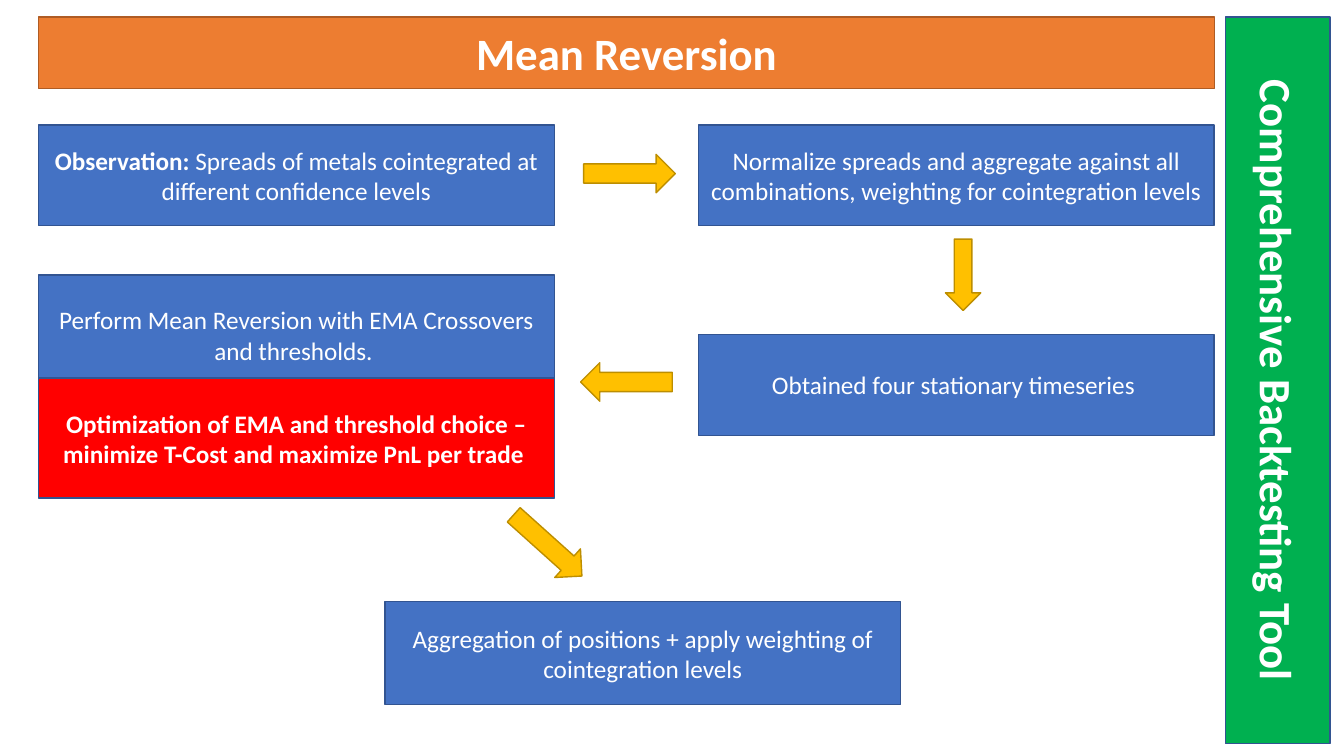
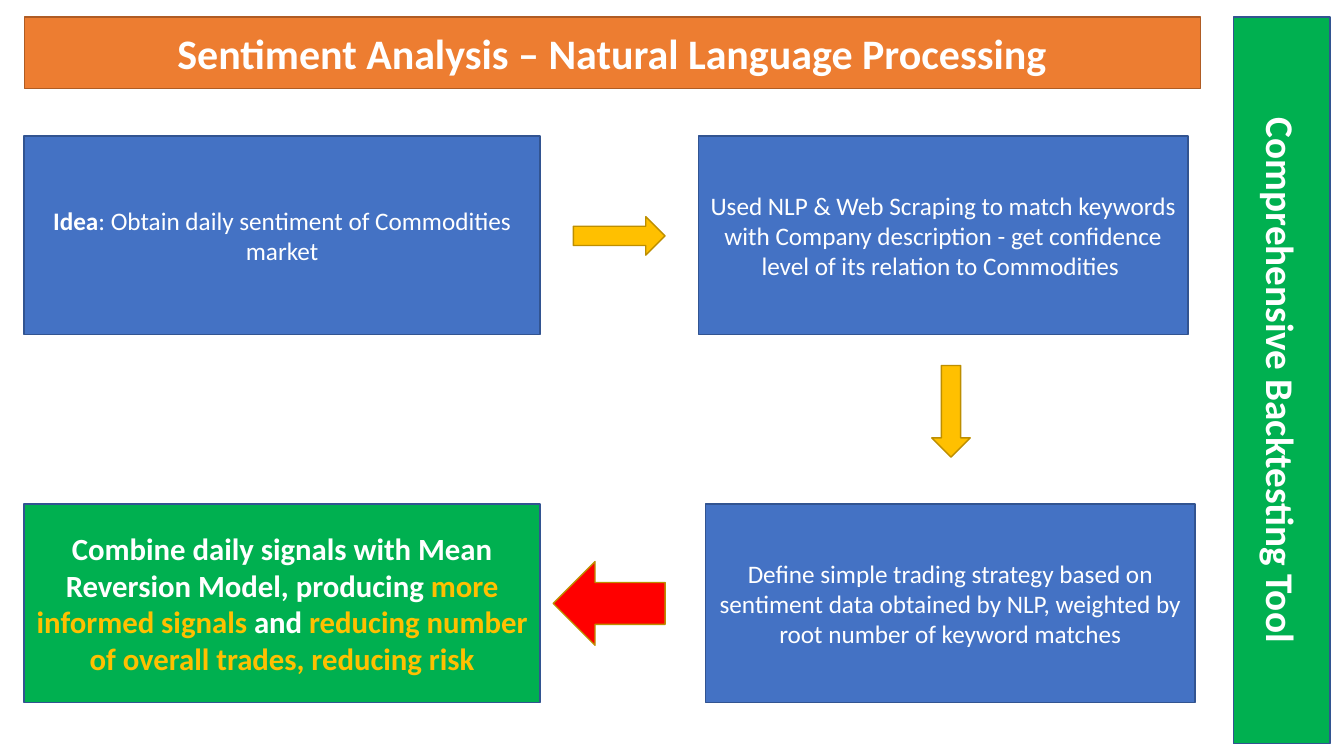
import pptx
import pptx.util
import pptx.dml.color
import pptx.enum.shapes
import pptx.enum.text

Cm = pptx.util.Cm
Pt = pptx.util.Pt
KIND = pptx.enum.shapes.MSO_SHAPE

HUES = {
    "white": "FFFFFF",
    "orange": "ED7D31",
    "rust": "AF5C24",
    "blue": "4472C4",
    "navy": "325491",
    "red": "FF0000",
    "green": "00B050",
    "gold": "FFC000",
    "brown": "BD8E00",
}
FONT = "Calibri"
TOP = 0.43            # upper edge of title and side band
WIDE = 13             # usual box width
COL = 17.6            # left edge of the right column
SIDE = (33.52, 18.31)  # right edge and length of the side band
ARROW = (2.31, 0.97)


def tint(name):
    return pptx.dml.color.RGBColor.from_string(HUES[name])


def paint(shape, fill, line):
    shape.fill.solid()
    shape.fill.fore_color.rgb = tint(fill)
    shape.line.color.rgb = tint(line)
    shape.line.width = Pt(1)


def write(shape, runs, size):
    """Fill a shape with centred text; each run is (text, bold, colour)."""
    frame = shape.text_frame
    frame.word_wrap = True
    frame.auto_size = pptx.enum.text.MSO_AUTO_SIZE.NONE
    frame.vertical_anchor = pptx.enum.text.MSO_ANCHOR.MIDDLE
    para = frame.paragraphs[0]
    para.alignment = pptx.enum.text.PP_ALIGN.CENTER
    for text, bold, hue in runs:
        run = para.add_run()
        run.text = text
        run.font.name = FONT
        run.font.size = Pt(size)
        run.font.bold = bold
        run.font.color.rgb = tint(hue)


def plain(text):
    return [(text, False, "white")]


def strong(text):
    return [(text, True, "white")]


def add_shape(slide, kind, area, fill, line, turn=0):
    shape = slide.shapes.add_shape(kind, *map(Cm, area))
    shape.shadow.inherit = False
    shape.rotation = turn
    paint(shape, fill, line)
    return shape


def add_box(slide, area, runs, fill="blue", size=18, turn=0):
    shape = add_shape(slide, KIND.RECTANGLE, area, fill, "navy", turn)
    write(shape, runs, size)


def add_arrow(slide, left, top, turn=0, size=ARROW, fill="gold"):
    area = (left, top, *size)
    add_shape(slide, KIND.RIGHT_ARROW, area, fill, "brown", turn)


def add_title(slide, left, text, size):
    title = slide.shapes.title
    title.left, title.top = Cm(left), Cm(TOP)
    title.width, title.height = Cm(29.64), Cm(1.8)
    paint(title, "orange", "rust")
    write(title, strong(text), size)


def add_side(slide, thick, size):
    """Add the band at the right edge, a flat box turned by 90 degrees."""
    right, span = SIDE
    left = right - (thick + span) / 2
    top = TOP + (span - thick) / 2
    add_box(slide, (left, top, span, thick),
            strong("Comprehensive Backtesting Tool"), "green", size, 90)


def add_slide(deck):
    return deck.slides.add_slide(deck.slide_layouts.get_by_name("Title Only"))


def make_mean(deck):
    slide = add_slide(deck)
    left, tall = 0.97, 2.54
    add_title(slide, left, "Mean Reversion", 32)
    add_box(slide, (left, 3.15, WIDE, tall),
            strong("Observation: ")
            + plain("Spreads of metals cointegrated at different "
                    "confidence levels"))
    add_box(slide, (COL, 3.15, WIDE, tall),
            plain("Normalize spreads and aggregate against all combinations, "
                  "weighting for cointegration levels"))
    add_box(slide, (COL, 8.43, WIDE, tall),
            plain("Obtained four stationary timeseries "))
    add_box(slide, (left, 6.93, WIDE, 3.02),
            plain("Perform Mean Reversion with EMA Crossovers "
                  "and thresholds. "))
    add_box(slide, (left, 9.53, WIDE, 3.02),
            strong("Optimization of EMA and threshold choice – minimize "
                   "T-Cost and maximize PnL per trade "), "red")
    add_box(slide, (9.7, 15.16, WIDE, 2.6),
            plain("Aggregation of positions + apply weighting of "
                  "cointegration levels"))
    add_arrow(slide, 14.71, 3.89)
    add_arrow(slide, 23.37, 6.48, 90, (1.8, 0.89))
    add_arrow(slide, 14.63, 9.14, 180)
    add_arrow(slide, 12.65, 13.26, 41.9)
    add_side(slide, 2.64, 32)


def make_mood(deck):
    slide = add_slide(deck)
    left, slim, tall = 0.61, 12.34, 5
    upper, lower = 3.43, 12.7
    add_title(slide, left, "Sentiment Analysis – Natural Language Processing",
              30)
    add_side(slide, 2.44, 28)
    add_box(slide, (left, upper, WIDE, tall),
            strong("Idea")
            + plain(": Obtain daily sentiment of Commodities market"))
    add_box(slide, (COL, upper, slim, tall),
            plain("Used NLP & Web Scraping to match keywords with Company "
                  "description - get confidence level of its relation to "
                  "Commodities "))
    add_box(slide, (17.78, lower, slim, tall),
            plain("Define simple trading strategy based on sentiment data "
                  "obtained by NLP, weighted by root number of keyword "
                  "matches"))
    add_box(slide, (left, lower, WIDE, tall),
            strong("Combine daily signals with Mean Reversion Model, "
                   "producing ")
            + [("more informed signals ", True, "gold")]
            + strong("and")
            + [(" reducing number of overall trades, reducing risk",
                True, "gold")],
            "green", 22)
    add_arrow(slide, 14.45, 5.46)
    add_arrow(slide, 22.81, 9.88, 90)
    add_arrow(slide, 13.94, 14.15, 180, (2.82, 2.11), "red")


def main():
    deck = pptx.Presentation()
    deck.slide_width, deck.slide_height = Cm(33.87), Cm(19.05)
    make_mean(deck)
    make_mood(deck)
    deck.save("out.pptx")


if __name__ == "__main__":
    main()
